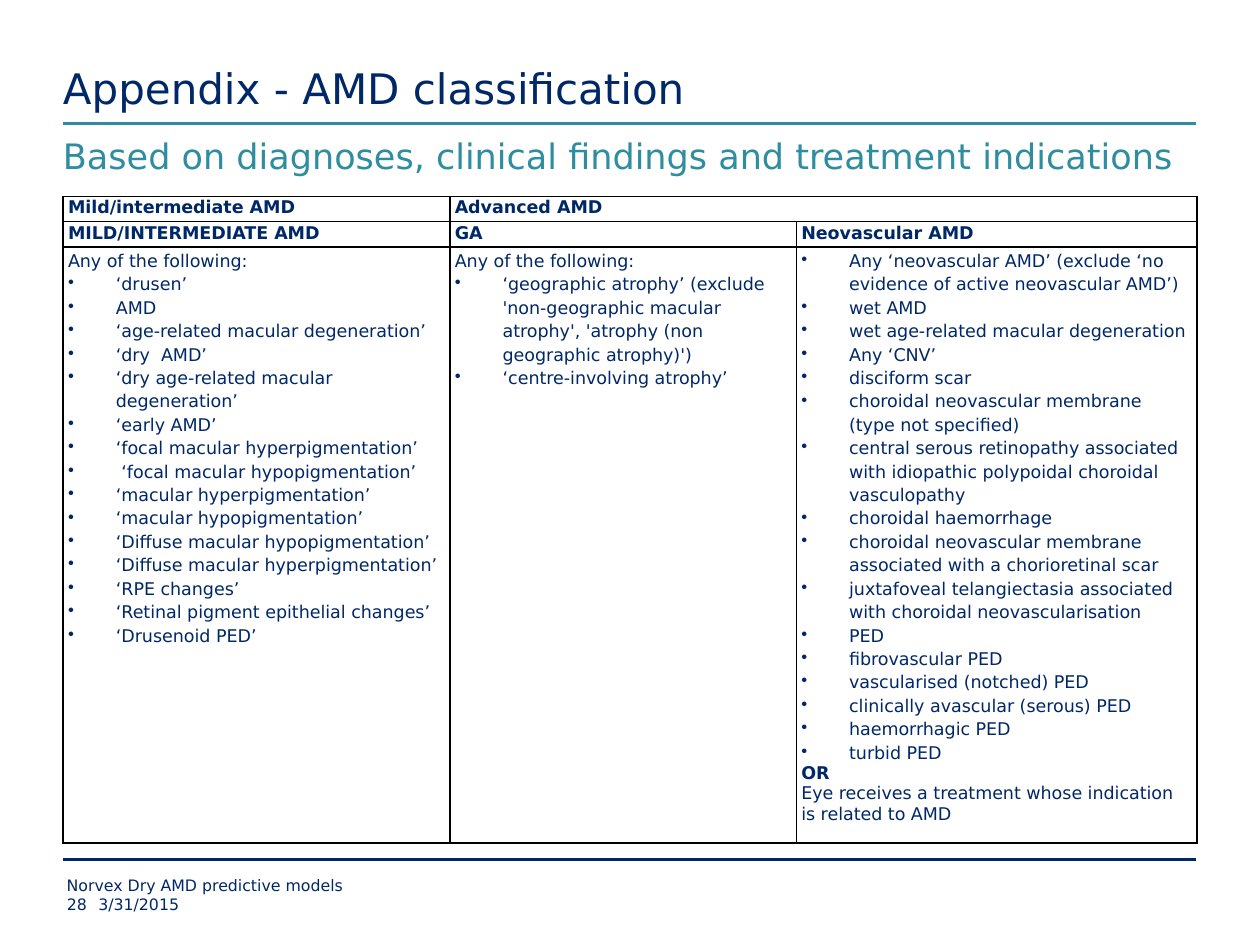
from dataclasses import dataclass

from lxml.etree import SubElement
from pptx import Presentation
from pptx.dml.color import RGBColor
from pptx.enum.shapes import MSO_CONNECTOR
from pptx.enum.text import MSO_ANCHOR
from pptx.oxml import parse_xml
from pptx.oxml.ns import nsdecls, qn
from pptx.util import Inches, Pt


@dataclass(frozen=True)
class Theme:
    font: str = "DejaVu Sans"
    navy: str = "002868"
    teal: str = "2E8D9E"
    border: str = "000000"
    title_size: int = 24
    subtitle_size: int = 20
    table_size: int = 10
    footer_size: int = 9
    rule_width: float = 1.5
    border_width: float = 1


THEME = Theme()

# text, (left, top, width, height), size, colour, anchor
TEXTS = [
    ("Appendix - AMD classification", (0.5, 0, 9, 0.9),
     THEME.title_size, THEME.navy, MSO_ANCHOR.BOTTOM),
    ("Based on diagnoses, clinical findings and treatment indications", (0.5, 1.07, 9, 0.49),
     THEME.subtitle_size, THEME.teal, MSO_ANCHOR.TOP),
    ("Norvex Dry AMD predictive models", (0.53, 6.95, 7.5, 0.15),
     THEME.footer_size, THEME.navy, MSO_ANCHOR.TOP),
    ("28", (0.53, 7.1, 0.25, 0.15), THEME.footer_size, THEME.navy, MSO_ANCHOR.TOP),
    ("3/31/2015", (0.78, 7.1, 7.25, 0.15), THEME.footer_size, THEME.navy, MSO_ANCHOR.TOP),
]
RULES = [(0.98, THEME.teal), (6.82, THEME.navy)]
RULE_ENDS = (0.5, 9.49)

TABLE_ORIGIN = (0.5, 1.56)
COLUMN_WIDTHS = [3.07, 2.75, 3.18]
ROW_HEIGHTS = [0.2, 0.2, 4.66]
HEADINGS = [
    ["Mild/intermediate AMD", "Advanced AMD", ""],
    ["MILD/INTERMEDIATE AMD", "GA", "Neovascular AMD"],
]
INTRO, BULLET, STRONG, PLAIN = "intro", "bullet", "strong", "plain"
# each column: groups of (paragraph style, lines)
CRITERIA = [
    [
        (INTRO, ["Any of the following:"]),
        (BULLET, [
            "‘drusen’",
            "AMD",
            "‘age-related macular degeneration’",
            "‘dry  AMD’",
            "‘dry age-related macular degeneration’",
            "‘early AMD’",
            "‘focal macular hyperpigmentation’",
            " ‘focal macular hypopigmentation’",
            "‘macular hyperpigmentation’",
            "‘macular hypopigmentation’",
            "‘Diffuse macular hypopigmentation’",
            "‘Diffuse macular hyperpigmentation’",
            "‘RPE changes’",
            "‘Retinal pigment epithelial changes’",
            "‘Drusenoid PED’",
        ]),
    ],
    [
        (INTRO, ["Any of the following:"]),
        (BULLET, [
            "‘geographic atrophy’ (exclude 'non-geographic macular atrophy', "
            "'atrophy (non geographic atrophy)')",
            "‘centre-involving atrophy’",
        ]),
    ],
    [
        (BULLET, [
            "Any ‘neovascular AMD’ (exclude ‘no evidence of active neovascular AMD’)",
            "wet AMD",
            "wet age-related macular degeneration",
            "Any ‘CNV’",
            "disciform scar",
            "choroidal neovascular membrane (type not specified)",
            "central serous retinopathy associated with idiopathic polypoidal "
            "choroidal vasculopathy",
            "choroidal haemorrhage",
            "choroidal neovascular membrane associated with a chorioretinal scar",
            "juxtafoveal telangiectasia associated with choroidal neovascularisation",
            "PED",
            "fibrovascular PED",
            "vascularised (notched) PED",
            "clinically avascular (serous) PED",
            "haemorrhagic PED",
            "turbid PED",
        ]),
        (STRONG, ["OR"]),
        (PLAIN, ["Eye receives a treatment whose indication is related to AMD"]),
    ],
]


def format_runs(paragraph, size, color, bold=False):
    for run in paragraph.runs:
        run.font.name = THEME.font
        run.font.size = Pt(size)
        run.font.bold = bold
        run.font.color.rgb = RGBColor.from_string(color)


def add_text(slide, text, box, size, color, anchor):
    frame = slide.shapes.add_textbox(*map(Inches, box)).text_frame
    frame.margin_left = frame.margin_right = frame.margin_top = frame.margin_bottom = 0
    frame.word_wrap = True
    frame.vertical_anchor = anchor
    frame.text = text
    format_runs(frame.paragraphs[0], size, color)


def add_rule(slide, top, color):
    left, right = RULE_ENDS
    rule = slide.shapes.add_connector(
        MSO_CONNECTOR.STRAIGHT, Inches(left), Inches(top), Inches(right), Inches(top))
    rule.line.color.rgb = RGBColor.from_string(color)
    rule.line.width = Pt(THEME.rule_width)
    SubElement(rule._element.spPr, qn("a:effectLst"))


def style_cell(cell):
    """Clear the fill, tighten the margins and draw all four borders."""
    cell.margin_left = cell.margin_right = Inches(0.04)
    cell.margin_top, cell.margin_bottom = Inches(0.01), 0
    cell.fill.background()
    properties = cell._tc.get_or_add_tcPr()
    for position, side in enumerate(("lnL", "lnR", "lnT", "lnB")):
        properties.insert(position, parse_xml(
            f'<a:{side} {nsdecls("a")} w="{Pt(THEME.border_width)}"><a:solidFill>'
            f'<a:srgbClr val="{THEME.border}"/></a:solidFill></a:{side}>'))


def add_bullet(paragraph):
    properties = paragraph._p.get_or_add_pPr()
    properties.set("marL", str(Inches(0.38)))
    properties.set("indent", str(-Inches(0.38)))
    SubElement(properties, qn("a:buChar"), char="•")
    tabs = SubElement(properties, qn("a:tabLst"))
    SubElement(tabs, qn("a:tab"), pos=str(Inches(0.5)), algn="l")


def fill_cell(cell, groups):
    lines = [(style, line) for style, group in groups for line in group]
    frame = cell.text_frame
    for index, (style, line) in enumerate(lines):
        paragraph = frame.add_paragraph() if index else frame.paragraphs[0]
        paragraph.text = line
        if style in (INTRO, BULLET):
            paragraph.line_spacing = 1.15
        if style == BULLET:
            add_bullet(paragraph)
        format_runs(paragraph, THEME.table_size, THEME.navy, bold=style == STRONG)


def add_classification_table(slide):
    size = (sum(COLUMN_WIDTHS), sum(ROW_HEIGHTS))
    table = slide.shapes.add_table(
        len(ROW_HEIGHTS), len(COLUMN_WIDTHS), *map(Inches, TABLE_ORIGIN + size)).table
    table.first_row = table.horz_banding = False
    for column, width in zip(table.columns, COLUMN_WIDTHS):
        column.width = Inches(width)
    for row, height in zip(table.rows, ROW_HEIGHTS):
        row.height = Inches(height)
    table.cell(0, 1).merge(table.cell(0, 2))
    rows = [[[(STRONG, [text])] if text else [] for text in row] for row in HEADINGS]
    for row_index, row in enumerate(rows + [CRITERIA]):
        for column_index, groups in enumerate(row):
            cell = table.cell(row_index, column_index)
            style_cell(cell)
            fill_cell(cell, groups)


def main():
    presentation = Presentation()
    presentation.slide_width, presentation.slide_height = Inches(10), Inches(7.5)
    slide = presentation.slides.add_slide(presentation.slide_layouts[6])
    for rule in RULES:
        add_rule(slide, *rule)
    for text in TEXTS:
        add_text(slide, *text)
    add_classification_table(slide)
    presentation.save("out.pptx")


if __name__ == "__main__":
    main()
